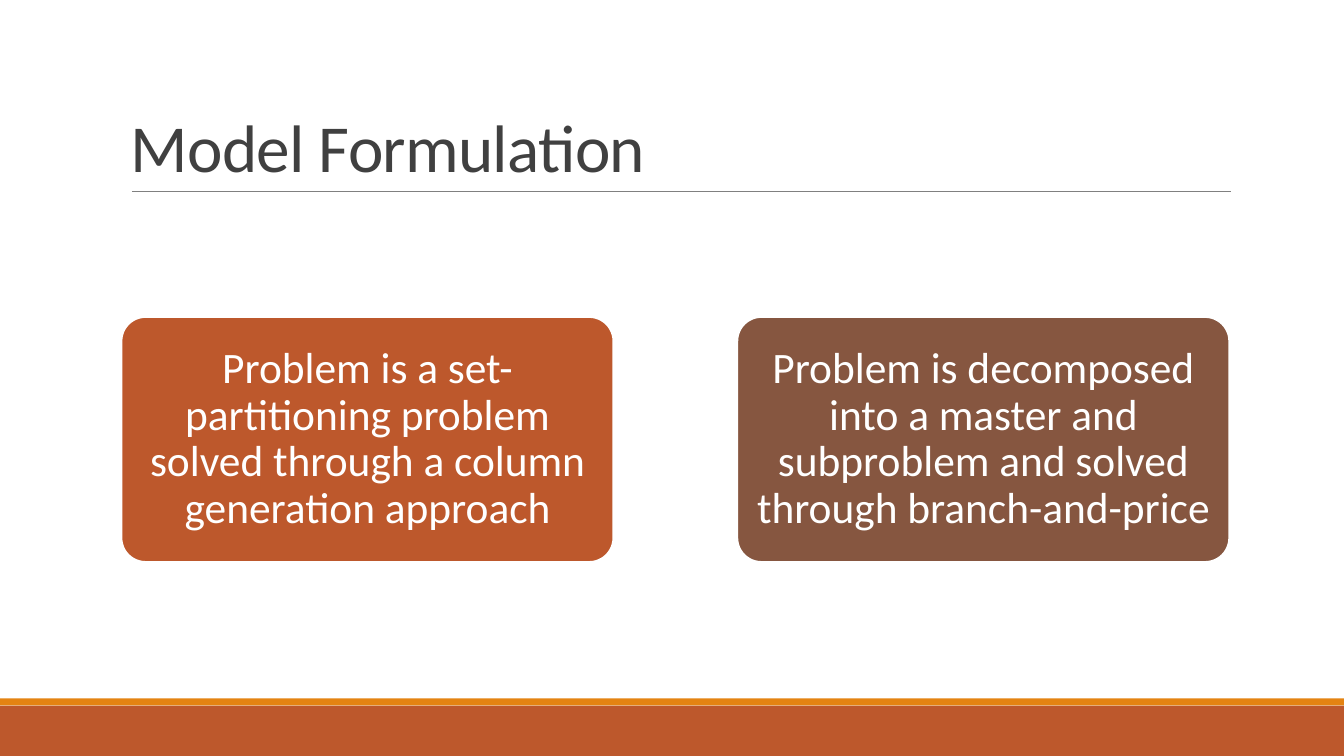
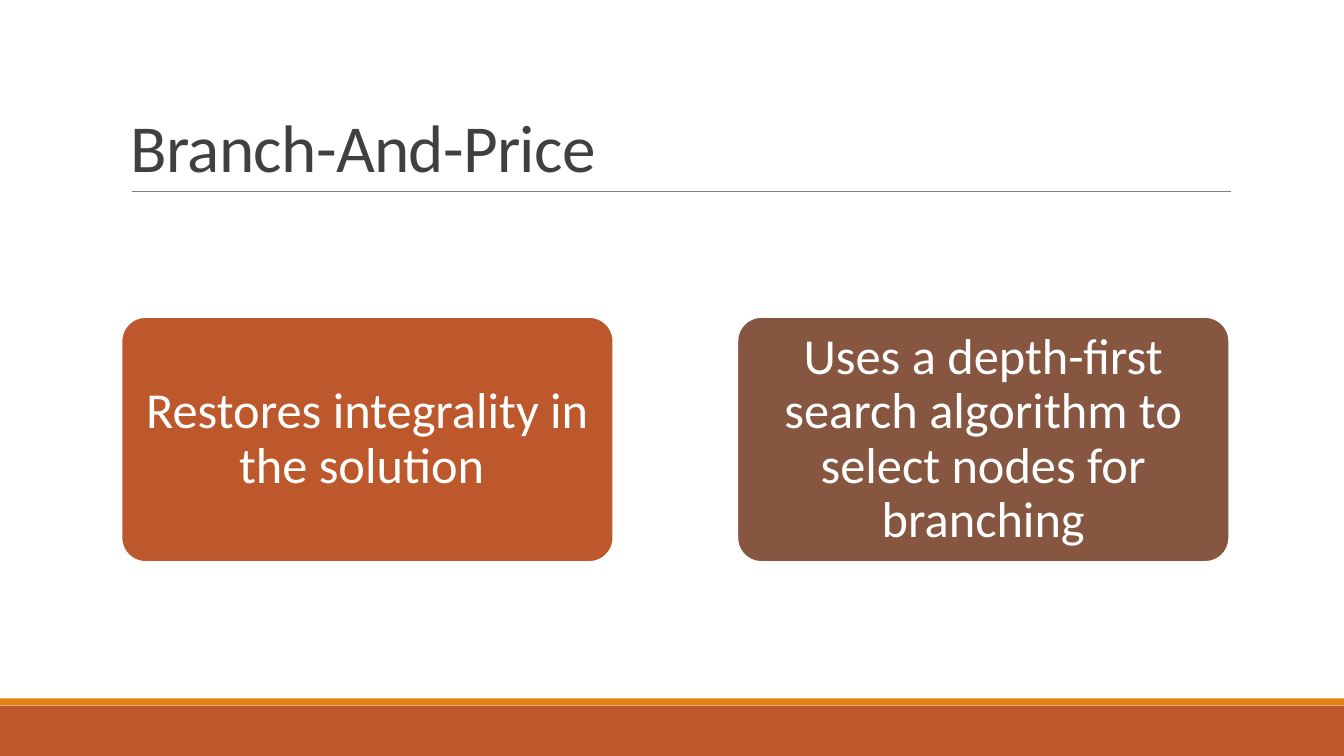
from pptx import Presentation
from pptx.dml.color import RGBColor
from pptx.enum.shapes import MSO_CONNECTOR, MSO_SHAPE
from pptx.enum.text import MSO_ANCHOR, PP_ALIGN
from pptx.oxml.ns import qn
from pptx.util import Pt
from lxml import etree

RECT = MSO_SHAPE.RECTANGLE
ROUND = MSO_SHAPE.ROUNDED_RECTANGLE
LINE = MSO_CONNECTOR.STRAIGHT
MIDDLE = MSO_ANCHOR.MIDDLE
BOTTOM = MSO_ANCHOR.BOTTOM
LEFT = PP_ALIGN.LEFT
CENTER = PP_ALIGN.CENTER

COLORS = {
    "rust": "BD582C",
    "orange": "E48312",
    "brown": "865640",
    "gray": "808080",
    "dark": "404040",
    "white": "FFFFFF",
}
FONT = "Calibri"
WIDTH, HEIGHT = 960, 540
EDGE = 86.4
CARD_W, CARD_H, CARD_Y = 352.1, 175.7, 226.1
PITCH = 439.9

BANDS = [(504, 36, "rust"), (498.8, 5.04, "orange")]
FILLS = ["rust", "brown"]
SLIDES = [
    ("Model Formulation", 31, (4.3, 2.9), [
        "Problem is a set-partitioning problem solved through a column generation approach",
        "Problem is decomposed into a master and subproblem and solved through branch-and-price",
    ]),
    ("Branch-And-Price", 36, (5, 3.6), [
        "Restores integrality in the solution ",
        "Uses a depth-first search algorithm to select nodes for branching",
    ]),
]


def add_block(slide, kind, x, y, w, h, fill):
    block = slide.shapes.add_shape(kind, Pt(x), Pt(y), Pt(w), Pt(h))
    block.shadow.inherit = False
    block.fill.solid()
    block.fill.fore_color.rgb = RGBColor.from_string(COLORS[fill])
    block.line.fill.background()
    return block


def add_words(shape, words, size, color, anchor, align, spacing, inset):
    frame = shape.text_frame
    frame.word_wrap = True
    frame.vertical_anchor = anchor
    frame.margin_left = frame.margin_right = Pt(inset[0])
    frame.margin_top = frame.margin_bottom = Pt(inset[1])
    para = frame.paragraphs[0]
    para.alignment = align
    para.line_spacing = spacing
    run = para.add_run()
    run.text = words
    run.font.name = FONT
    run.font.size = Pt(size)
    run.font.color.rgb = RGBColor.from_string(COLORS[color])
    return run


deck = Presentation()
deck.slide_width, deck.slide_height = Pt(WIDTH), Pt(HEIGHT)

for heading, size, inset, cards in SLIDES:
    slide = deck.slides.add_slide(deck.slide_layouts[6])

    for y, h, fill in BANDS:
        add_block(slide, RECT, 0, y, WIDTH, h, fill)

    rule = slide.shapes.add_connector(LINE, Pt(94.3), Pt(136.8), Pt(879.1), Pt(136.8))
    rule.line.width = Pt(0.5)
    rule.line.color.rgb = RGBColor.from_string(COLORS["gray"])
    etree.SubElement(rule.element.spPr, qn("a:effectLst"))

    title = slide.shapes.add_textbox(Pt(EDGE), Pt(22.3), Pt(792), Pt(114.5))
    run = add_words(title, heading, 48, "dark", BOTTOM, LEFT, 0.85, (7.2, 3.6))
    run.font.element.set("spc", "-50") if hasattr(run.font, "element") else run._r.get_or_add_rPr().set("spc", "-50")

    for i, (words, fill) in enumerate(zip(cards, FILLS)):
        card = add_block(slide, ROUND, EDGE + i * PITCH, CARD_Y, CARD_W, CARD_H, fill)
        card.adjustments[0] = 0.1
        card.line.width = Pt(2)
        card.line.color.rgb = RGBColor.from_string(COLORS["white"])
        add_words(card, words, size, "white", MIDDLE, CENTER, 0.9, inset)

deck.save("out.pptx")
